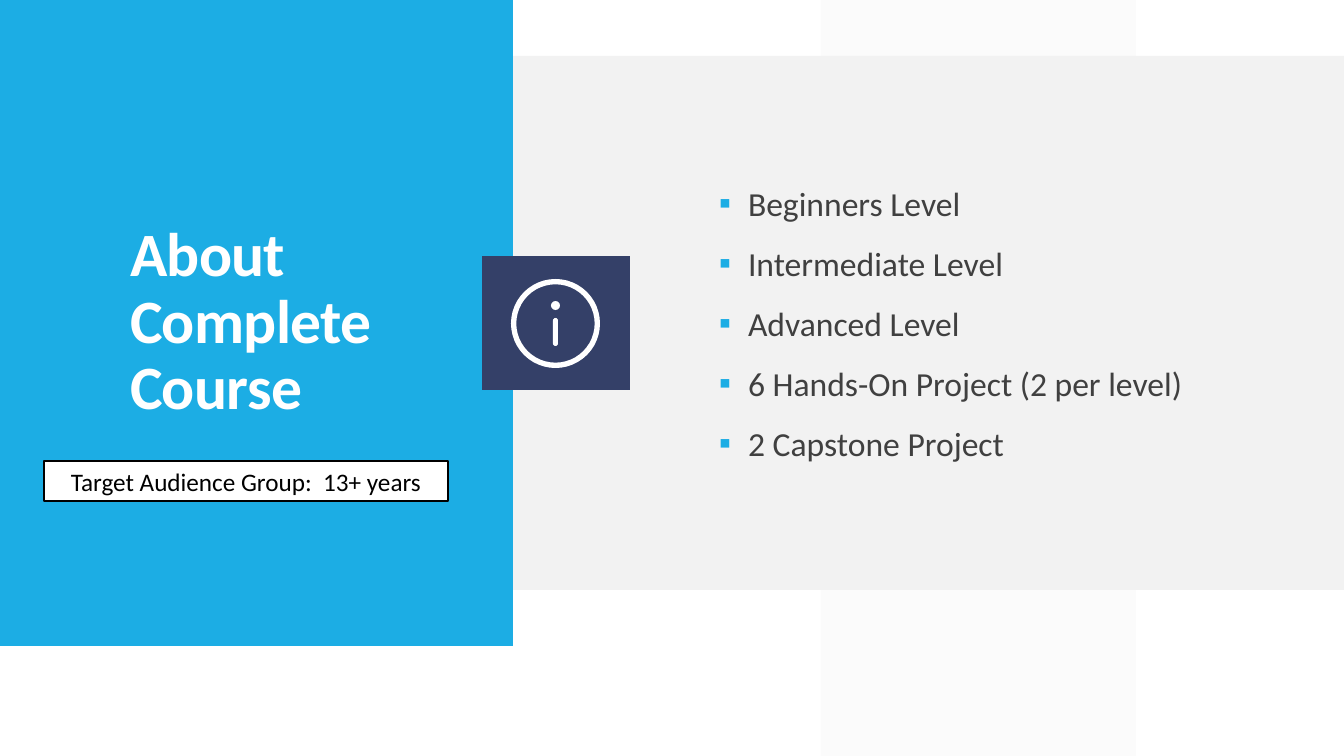
from lxml import etree
from pptx import Presentation
from pptx.dml.color import RGBColor
from pptx.enum.shapes import MSO_SHAPE
from pptx.enum.text import MSO_ANCHOR, MSO_AUTO_SIZE, PP_ALIGN
from pptx.oxml.ns import qn
from pptx.util import Emu, Pt

RECT = MSO_SHAPE.RECTANGLE
OVAL = MSO_SHAPE.OVAL
DONUT = MSO_SHAPE.DONUT
ROUNDED = MSO_SHAPE.ROUNDED_RECTANGLE
LEFT, CENTER = PP_ALIGN.LEFT, PP_ALIGN.CENTER
PX = 914400 / 100.8
BLUE, NAVY, GREY, WHITE = "1CADE4", "344068", "F2F2F2", "FFFFFF"


def write(holder, lines, size, color, bold=False, align=LEFT, line_spacing=1.0,
          before=0, after=0, side_inset=10, tracking=0, bullet=None, indent=0):
    frame = holder.text_frame
    frame.word_wrap = True
    frame.auto_size = MSO_AUTO_SIZE.NONE
    frame.vertical_anchor = MSO_ANCHOR.MIDDLE
    frame.margin_left = frame.margin_right = Emu(round(side_inset * PX))
    frame.margin_top = frame.margin_bottom = Emu(round(5 * PX))
    frame.text = "\n".join(lines)
    for paragraph in frame.paragraphs:
        paragraph.alignment = align
        paragraph.line_spacing = line_spacing
        paragraph.space_before, paragraph.space_after = Pt(before), Pt(after)
        run = paragraph.runs[0]
        run.font.name, run.font.size, run.font.bold = "Calibri", Pt(size), bold
        run.font.color.rgb = RGBColor.from_string(color)
        if tracking:
            run.font._element.set("spc", str(round(tracking * 100)))
        if bullet:
            properties = paragraph._p.get_or_add_pPr()
            properties.set("marL", str(round(indent * PX)))
            properties.set("indent", str(round(-indent * PX)))
            bullet_color = etree.SubElement(properties, qn("a:buClr"))
            etree.SubElement(bullet_color, qn("a:srgbClr"), val=BLUE)
            etree.SubElement(properties, qn("a:buFont"), typeface="Calibri")
            etree.SubElement(properties, qn("a:buChar"), char=bullet)


def block(shapes, kind, box, fill, adjust=None):
    shape = shapes.add_shape(kind, *[Emu(round(n * PX)) for n in box])
    shape.shadow.inherit = False
    shape.fill.solid()
    shape.fill.fore_color.rgb = RGBColor.from_string(fill)
    shape.line.fill.background()
    if adjust is not None:
        shape.adjustments[0] = adjust
    return shape


prs = Presentation()
prs.slide_width, prs.slide_height = Emu(round(1344 * PX)), Emu(round(756 * PX))
slide = prs.slides.add_slide(prs.slide_layouts[5])
shapes = slide.shapes

stripe = block(shapes, RECT, (821, 0, 315, 756), GREY)
stripe_color = stripe.fill._xPr.find(qn("a:solidFill"))[0]
etree.SubElement(stripe_color, qn("a:alpha"), val="30000")
block(shapes, RECT, (513, 56, 831, 534), GREY)
block(shapes, RECT, (0, 0, 513, 646), BLUE)
block(shapes, RECT, (482, 256, 148, 134), NAVY)

title = shapes.title
title.element.getparent().append(title.element)
title.left, title.top, title.width, title.height = [
    Emu(round(n * PX)) for n in (120, 208, 339, 231)]
write(title, ["About Complete Course"], size=44, color=WHITE, bold=True,
      line_spacing=0.9, tracking=-0.5)

levels = shapes.add_textbox(*[Emu(round(n * PX)) for n in (719, 104, 513, 438)])
write(levels, ["Beginners Level", "Intermediate Level", "Advanced Level",
               "6 Hands-On Project (2 per level)", "2 Capstone Project"],
      size=24, color="404040", before=12, after=2, side_inset=0,
      bullet="▪", indent=29)

info_icon = shapes.add_group_shape().shapes
block(info_icon, DONUT, (511, 279, 89, 89), WHITE, adjust=0.06)
block(info_icon, OVAL, (551, 301, 9, 9), WHITE)
block(info_icon, ROUNDED, (553, 318, 5, 28), WHITE, adjust=0.5)

audience = block(shapes, RECT, (44, 461, 404, 40), WHITE)
audience.line.color.rgb = RGBColor.from_string("000000")
audience.line.width = Pt(1.25)
write(audience, ["Target Audience Group:  13+ years"], size=18, color="000000",
      align=CENTER)

prs.save("out.pptx")
